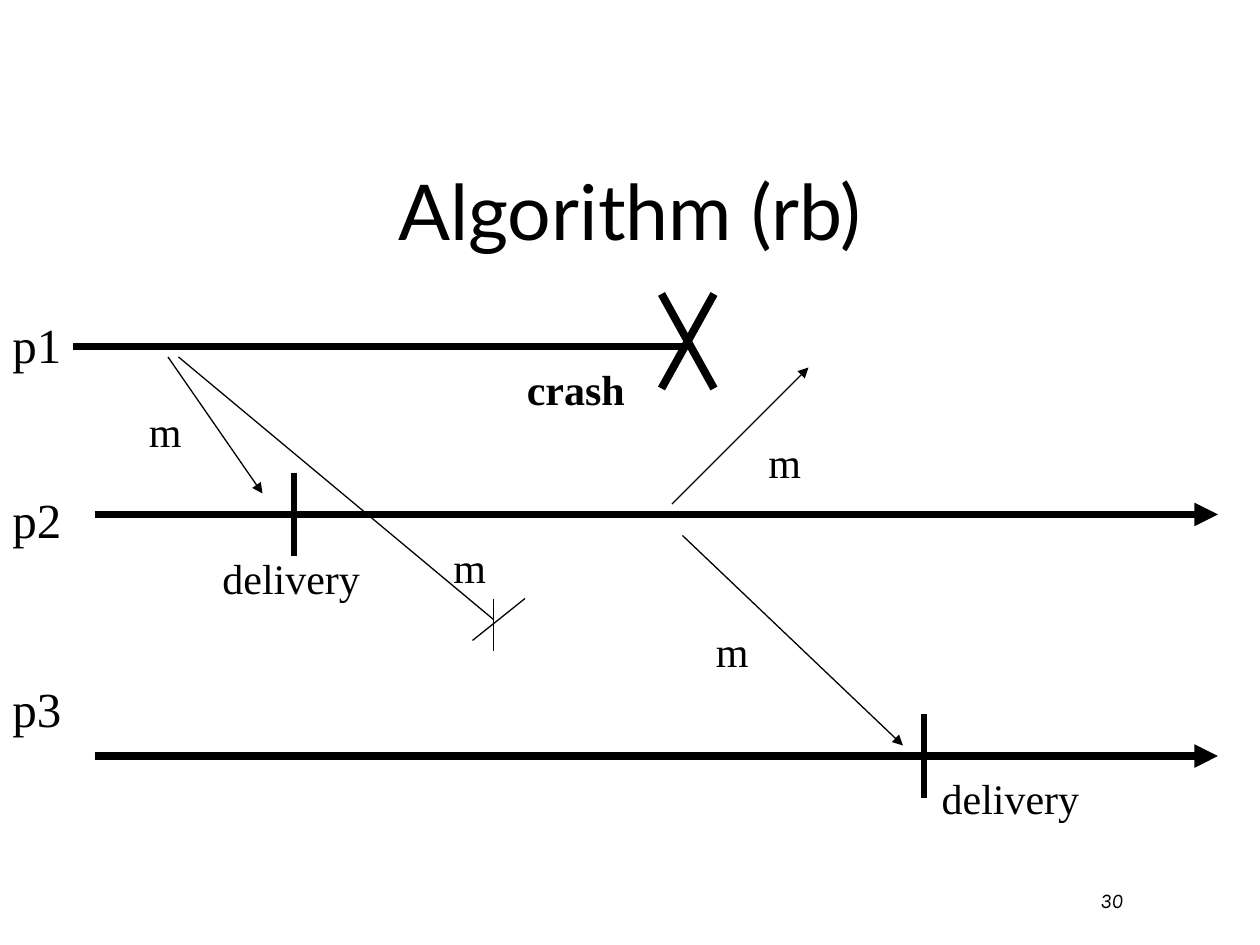
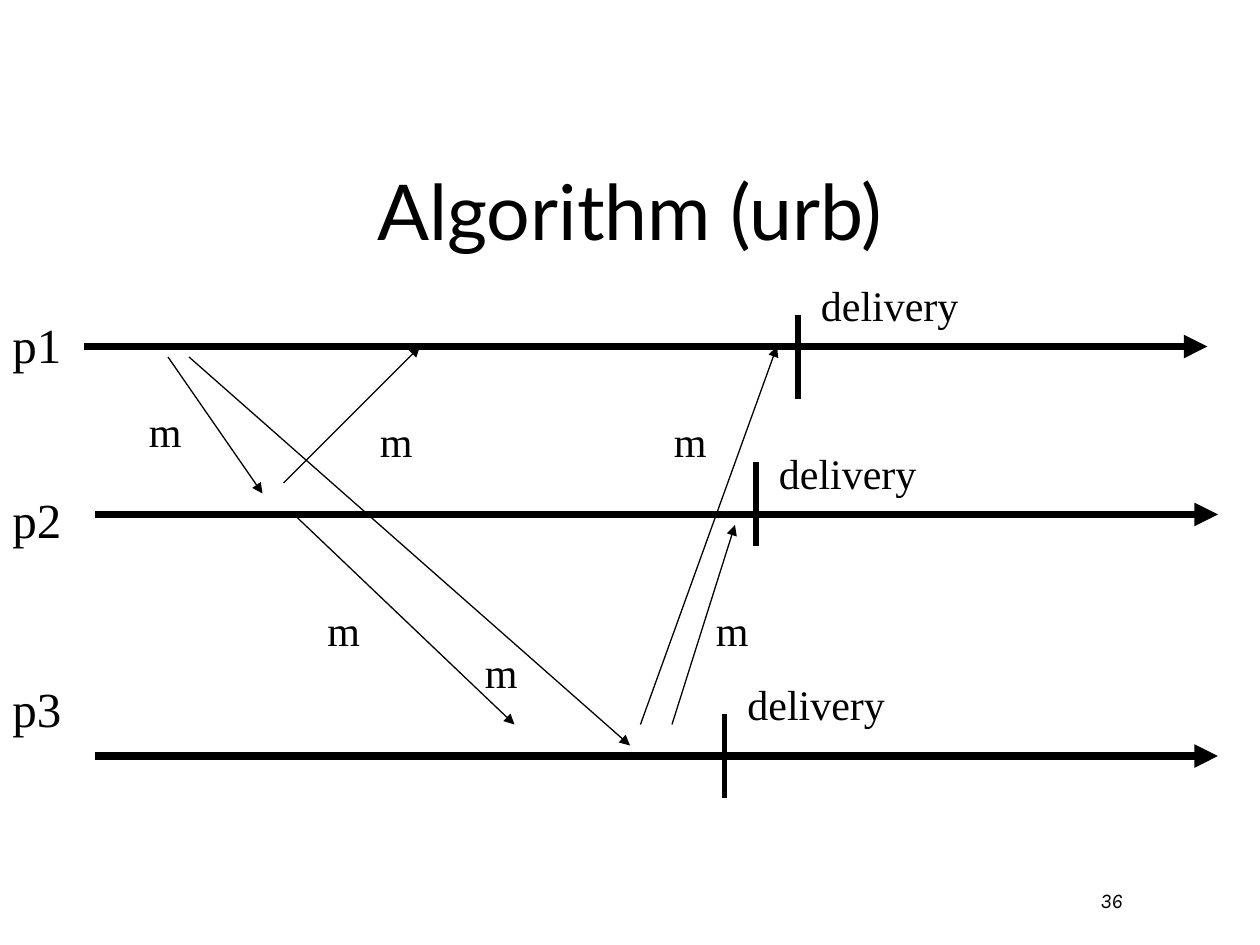
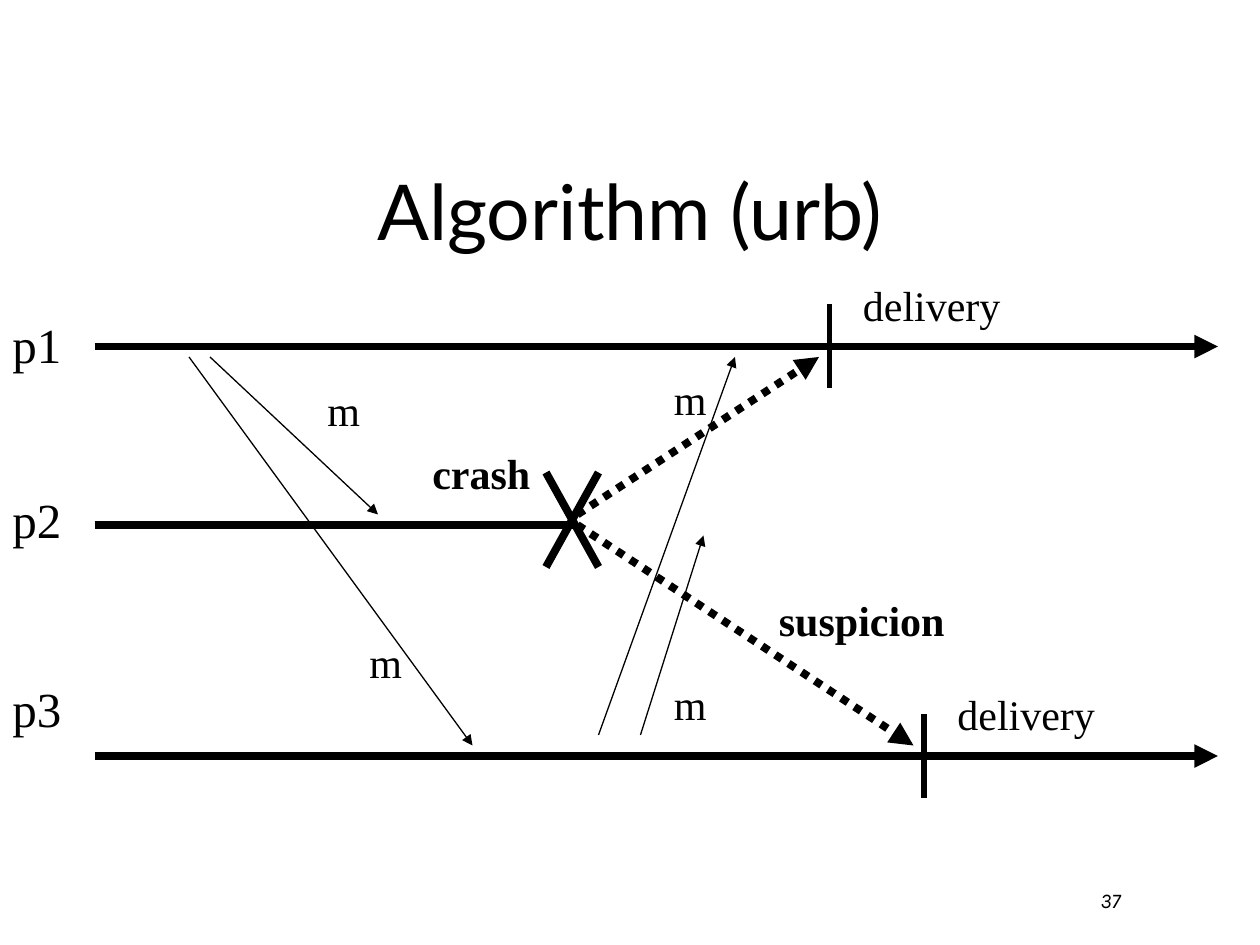
from dataclasses import dataclass

from pptx import Presentation
from pptx.dml.color import RGBColor
from pptx.enum.dml import MSO_LINE
from pptx.enum.shapes import MSO_CONNECTOR
from pptx.enum.text import MSO_ANCHOR, MSO_AUTO_SIZE, PP_ALIGN
from pptx.oxml.ns import qn
from pptx.util import Pt

STRAIGHT = MSO_CONNECTOR.STRAIGHT
DOTS = MSO_LINE.ROUND_DOT
LEFT, CENTER = PP_ALIGN.LEFT, PP_ALIGN.CENTER
TOP, MIDDLE, BOTTOM = MSO_ANCHOR.TOP, MSO_ANCHOR.MIDDLE, MSO_ANCHOR.BOTTOM
GROW, FIXED = MSO_AUTO_SIZE.SHAPE_TO_FIT_TEXT, MSO_AUTO_SIZE.NONE

SCALE = 9525  # EMU in one px, 96 px to the inch


@dataclass(frozen=True)
class Theme:
    ink: RGBColor = RGBColor(0, 0, 0)
    head: str = "Lato"
    body: str = "Times New Roman"
    foot: str = "Karla"
    title: int = 44
    name: int = 28
    label: int = 24
    page: int = 12
    thin: float = 0.75
    mid: float = 3
    thick: float = 4.5


THEME = Theme()
ROWS = {"p1": 235, "p2": 368, "p3": 512}
WIDTHS = {"m": 44, "crash": 95, "delivery": 125, "suspicion": 148}
START, END = 72, 928
P1, P2, P3 = 264, 392, 576


def px(n):
    return n * SCALE


def write(slide, text, x, y, w, h, *, size=THEME.label, font=THEME.body,
          bold=False, italic=False, align=LEFT, anchor=TOP, wrap=False,
          fit=GROW):
    box = slide.shapes.add_textbox(px(x), px(y), px(w), px(h))
    frame = box.text_frame
    frame.word_wrap = wrap
    frame.auto_size = fit
    frame.vertical_anchor = anchor
    para = frame.paragraphs[0]
    para.alignment = align
    run = para.add_run()
    run.text = text
    run.font.name = font
    run.font.size = Pt(size)
    run.font.bold = bold
    run.font.italic = italic
    run.font.color.rgb = THEME.ink


def line(slide, x1, y1, x2, y2, width=THEME.thin, tip=False, dash=None):
    link = slide.shapes.add_connector(STRAIGHT, px(x1), px(y1), px(x2), px(y2))
    link.line.color.rgb = THEME.ink
    link.line.width = Pt(width)
    if dash:
        link.line.dash_style = dash
    props = link._element.spPr
    if tip:
        stroke = props.find(qn("a:ln"))
        stroke.append(stroke.makeelement(qn("a:tailEnd"), {"type": "triangle"}))
    props.append(props.makeelement(qn("a:effectLst"), {}))


def axis(slide, y, left=START, right=END, tip=True):
    """Draw the time line of one process."""
    line(slide, left, y, right, y, THEME.thick, tip)


def send(slide, *paths):
    """Draw a message arrow for each path."""
    for path in paths:
        line(slide, *path, tip=True)


def tick(slide, x, y):
    """Mark a delivery on a time line."""
    line(slide, x, y, x, y + 64, THEME.mid)


def cross(slide, x, y):
    """Mark the crash of a process."""
    line(slide, x + 40, y, x, y + 72, THEME.thick)
    line(slide, x, y, x + 40, y + 72, THEME.thick)


def label(slide, text, *spots, bold=False):
    """Write the same word at each spot."""
    for x, y in spots:
        write(slide, text, x, y, WIDTHS[text], 48, bold=bold)


def start(deck, title, page):
    """Add a slide with its title, page number and process names."""
    slide = deck.slides.add_slide(deck.slide_layouts[6])
    write(slide, page, 829, 678, 60, 16, size=THEME.page, font=THEME.foot,
          italic=True, anchor=MIDDLE, wrap=True, fit=FIXED)
    write(slide, title, 72, 80, 816, 120, size=THEME.title, font=THEME.head,
          align=CENTER, anchor=BOTTOM, wrap=True, fit=FIXED)
    for name, y in ROWS.items():
        write(slide, name, 0, y, 57, 55, size=THEME.name)
    return slide


def relay(deck):
    slide = start(deck, "Algorithm (rb)", "30")
    axis(slide, P1, 56, 528, tip=False)
    axis(slide, P2)
    axis(slide, P3)
    cross(slide, 504, 224)
    send(slide, (128, 272, 200, 376), (512, 384, 616, 280), (520, 408, 688, 568))
    # The lost message
    line(slide, 136, 272, 376, 472)
    line(slide, 400, 456, 360, 488)
    line(slide, 376, 456, 376, 496)
    tick(slide, 704, 544)
    tick(slide, 224, 360)
    label(slide, "m", (104, 304), (336, 408), (576, 328), (536, 472))
    label(slide, "crash", (392, 272), bold=True)
    label(slide, "delivery", (160, 416), (708, 584))


def uniform(deck):
    slide = start(deck, "Algorithm (urb)", "36")
    axis(slide, P1, 64, 920)
    axis(slide, P2)
    axis(slide, P3)
    send(slide, (128, 272, 200, 376), (144, 272, 480, 568), (216, 368, 320, 264),
         (224, 392, 392, 552), (512, 552, 560, 400), (488, 552, 592, 264))
    for x, y, rise in ((608, 240, 32), (576, 352, 16), (552, 544, 32)):
        tick(slide, x, y)
        label(slide, "delivery", (x + 8, y - rise))
    label(slide, "m", (104, 304), (360, 488), (280, 312), (240, 456),
          (504, 312), (536, 456))


def suspect(deck):
    slide = start(deck, "Algorithm (urb)", "37")
    axis(slide, P1)
    axis(slide, 400, right=440, tip=False)
    axis(slide, P3)
    cross(slide, 416, 360)
    send(slide, (160, 272, 288, 392), (144, 272, 360, 568),
         (488, 560, 536, 408), (456, 560, 560, 272))
    for x, y in ((632, 232), (704, 544)):
        tick(slide, x, y)
        label(slide, "delivery", (x + 16, y - 24))
    for path in ((440, 392, 624, 272), (440, 400, 696, 568)):
        line(slide, *path, width=THEME.thick, tip=True, dash=DOTS)
    label(slide, "m", (240, 288), (272, 480), (504, 280), (504, 512))
    label(slide, "crash", (320, 336), bold=True)
    label(slide, "suspicion", (584, 448), bold=True)


def main():
    deck = Presentation()
    deck.slide_width, deck.slide_height = px(960), px(720)
    relay(deck)
    uniform(deck)
    suspect(deck)
    deck.save("out.pptx")


if __name__ == "__main__":
    main()
